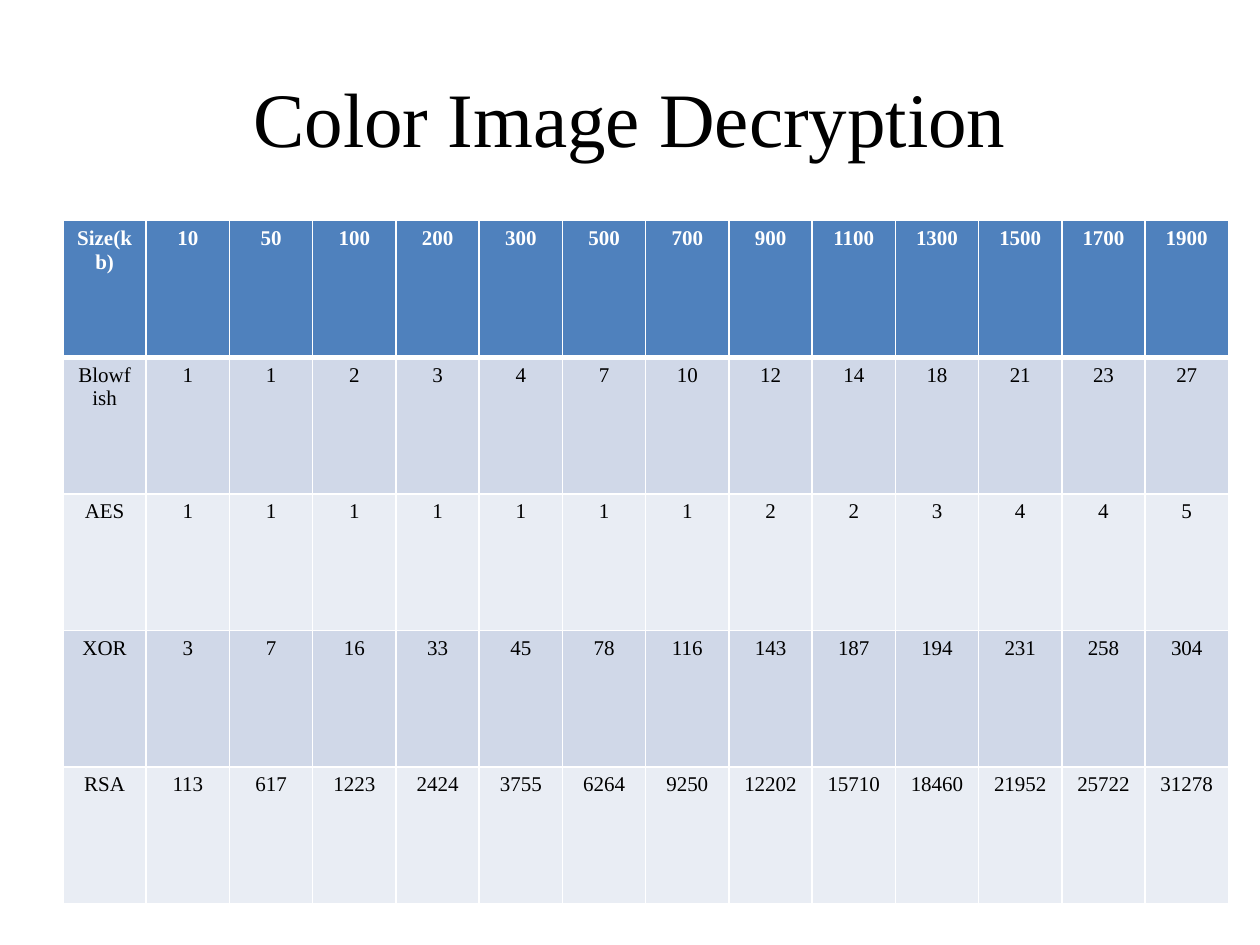
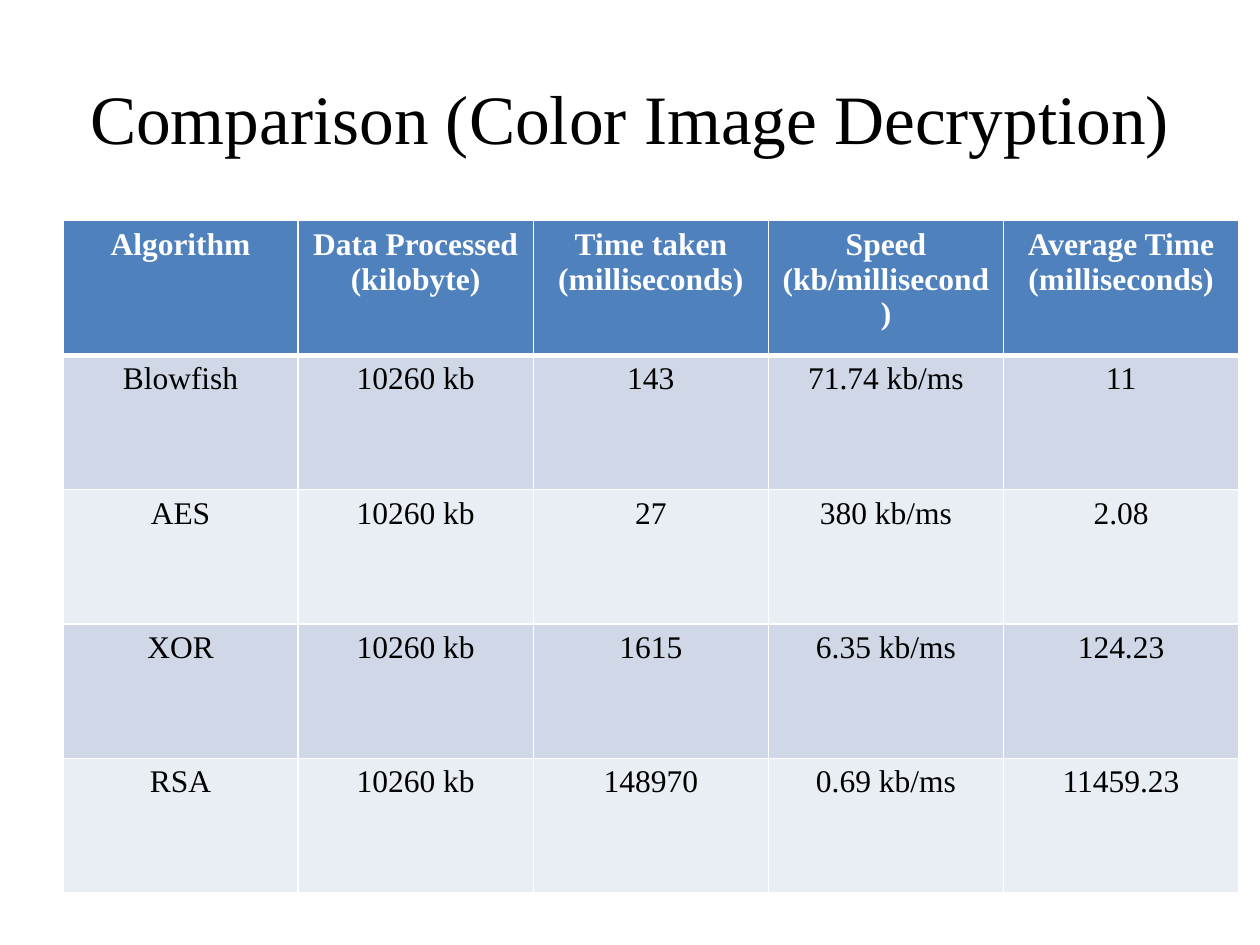
from lxml import etree
from pptx import Presentation
from pptx import util as u
from pptx.dml.color import RGBColor
from pptx.enum import text
from pptx.oxml.ns import qn

SLIDES = [
    {
        "title": "Color Image Decryption",
        "title_size": 44,
        "text_size": 12,
        "width": 23.5,
        "height": 13.76,
        "rows": [
            ("Size(kb)", 10, 50, 100, 200, 300, 500, 700, 900, 1100, 1300, 1500, 1700, 1900),
            ("Blowfish", 1, 1, 2, 3, 4, 7, 10, 12, 14, 18, 21, 23, 27),
            ("AES", 1, 1, 1, 1, 1, 1, 1, 2, 2, 3, 4, 4, 5),
            ("XOR", 3, 7, 16, 33, 45, 78, 116, 143, 187, 194, 231, 258, 304),
            ("RSA", 113, 617, 1223, 2424, 3755, 6264, 9250, 12202, 15710, 18460, 21952, 25722, 31278),
        ],
    },
    {
        "title": "Comparison (Color Image Decryption)",
        "title_size": 39.6,
        "text_size": 18,
        "width": 23.7,
        "height": 13.55,
        "rows": [
            ("Algorithm", "Data Processed (kilobyte)", "Time taken (milliseconds)",
             "Speed (kb/millisecond)", "Average Time (milliseconds)"),
            ("Blowfish", "10260 kb", 143, "71.74 kb/ms", 11),
            ("AES", "10260 kb", 27, "380 kb/ms", 2.08),
            ("XOR", "10260 kb", 1615, "6.35 kb/ms", 124.23),
            ("RSA", "10260 kb", 148970, "0.69 kb/ms", 11459.23),
        ],
    },
]

FONT = "Times New Roman"
WHITE = RGBColor(0xFF, 0xFF, 0xFF)
BLACK = RGBColor(0x00, 0x00, 0x00)
HEADER_BLUE = RGBColor(0x4F, 0x81, 0xBD)
BANDS = [RGBColor(0xD0, 0xD8, 0xE8), RGBColor(0xE9, 0xED, 0xF4)]
LEFT = u.Cm(1.27)
TITLE_BOX = (LEFT, u.Cm(0.76), u.Cm(22.86), u.Cm(3.18))
TABLE_TOP = u.Cm(4.45)
THIN, THICK = u.Pt(1), u.Pt(3)


def format_text(text_frame, size, color, bold=False):
    for paragraph in text_frame.paragraphs:
        paragraph.alignment = text.PP_ALIGN.CENTER
        for run in paragraph.runs:
            run.font.name = FONT
            run.font.size = u.Pt(size)
            run.font.bold = bold
            run.font.color.rgb = color


def add_borders(cell, top, bottom):
    properties = cell._tc.get_or_add_tcPr()
    for edge, width in (("lnL", THIN), ("lnR", THIN), ("lnT", top), ("lnB", bottom)):
        line = etree.SubElement(properties, qn(f"a:{edge}"), w=str(width))
        fill = etree.SubElement(line, qn("a:solidFill"))
        etree.SubElement(fill, qn("a:srgbClr"), val=str(WHITE))


def add_title(slide, wording, size):
    title = slide.shapes.title
    title.left, title.top, title.width, title.height = TITLE_BOX
    title.text_frame.text = wording
    title.text_frame.vertical_anchor = text.MSO_ANCHOR.MIDDLE
    format_text(title.text_frame, size, BLACK)


def add_results(slide, rows, width, height, size):
    table = slide.shapes.add_table(
        len(rows), len(rows[0]), LEFT, TABLE_TOP, u.Cm(width), u.Cm(height)
    ).table
    for row_index, values in enumerate(rows):
        is_header = row_index == 0
        for column_index, value in enumerate(values):
            cell = table.cell(row_index, column_index)
            cell.text_frame.text = str(value)
            format_text(cell.text_frame, size, WHITE if is_header else BLACK, is_header)
            add_borders(cell, THICK if row_index == 1 else THIN, THICK if is_header else THIN)
            cell.fill.solid()
            cell.fill.fore_color.rgb = HEADER_BLUE if is_header else BANDS[(row_index - 1) % 2]


def main():
    presentation = Presentation()
    presentation.slide_width, presentation.slide_height = u.Cm(25.4), u.Cm(19.05)
    title_only = presentation.slide_layouts.get_by_name("Title Only")
    for content in SLIDES:
        slide = presentation.slides.add_slide(title_only)
        add_title(slide, content["title"], content["title_size"])
        add_results(slide, content["rows"], content["width"], content["height"], content["text_size"])
    presentation.save("out.pptx")


if __name__ == "__main__":
    main()
